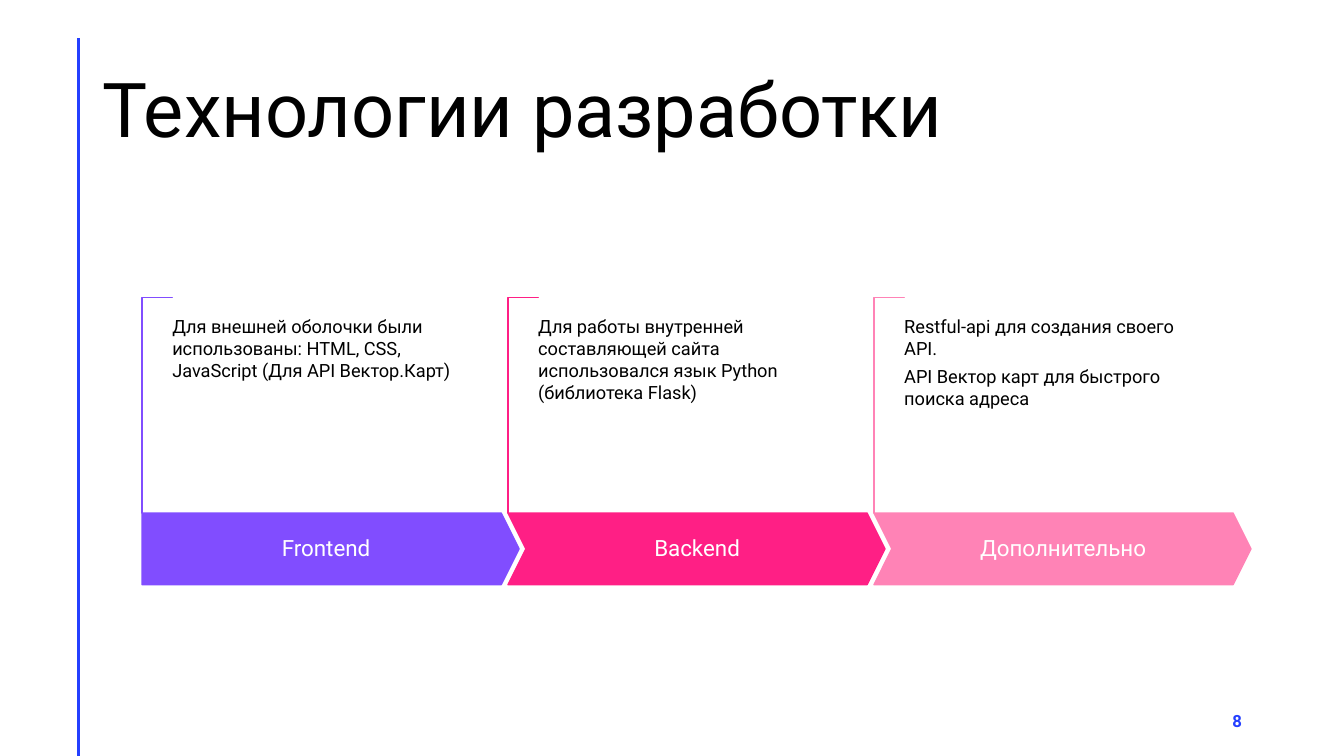
import pptx
import pptx.dml.color
import pptx.enum.shapes
import pptx.enum.text
import pptx.oxml.ns
import pptx.util
from lxml import etree

Pt = pptx.util.Pt
SHAPES = pptx.enum.shapes.MSO_SHAPE
ALIGN = pptx.enum.text.PP_ALIGN
ANCHOR = pptx.enum.text.MSO_ANCHOR


def color(value):
    return pptx.dml.color.RGBColor.from_string(value)


class SlideBuilder:
    font = "Roboto"
    accent = "243FFF"
    ink = "000000"
    paper = "FFFFFF"

    def __init__(self, slide):
        self.slide = slide

    def rule(self, x, top, bottom):
        connector = self.slide.shapes.add_connector(
            pptx.enum.shapes.MSO_CONNECTOR.STRAIGHT, Pt(x), Pt(top), Pt(x), Pt(bottom))
        connector.line.color.rgb = color(self.accent)
        connector.line.width = Pt(2)
        properties = connector._element.spPr
        etree.SubElement(properties, pptx.oxml.ns.qn("a:effectLst"))

    def shape(self, kind, left, top, width, height, fill, line, adjustments):
        shape = self.slide.shapes.add_shape(kind, Pt(left), Pt(top), Pt(width), Pt(height))
        shape.shadow.inherit = False
        shape.fill.solid()
        shape.fill.fore_color.rgb = color(fill)
        shape.line.color.rgb = color(line)
        shape.line.width = Pt(1)
        for index, value in enumerate(adjustments):
            shape.adjustments[index] = value
        return shape

    def bracket(self, left, top, width, height, line):
        shape = self.shape(SHAPES.CORNER, left + (width - height) / 2,
                           top + (height - width) / 2, height, width,
                           self.paper, line, (0.01, 0.01))
        shape.rotation = 90

    def text(self, left, top, width, height, paragraphs, size, ink=ink, bold=False,
             align=ALIGN.LEFT, anchor=ANCHOR.MIDDLE, insets=(7.2, 3.6),
             line_spacing=1.0, space_after=0):
        box = self.slide.shapes.add_textbox(Pt(left), Pt(top), Pt(width), Pt(height))
        frame = box.text_frame
        frame.word_wrap = True
        frame.vertical_anchor = anchor
        frame.margin_left = frame.margin_right = Pt(insets[0])
        frame.margin_top = frame.margin_bottom = Pt(insets[1])
        for index, content in enumerate(paragraphs):
            paragraph = frame.add_paragraph() if index else frame.paragraphs[0]
            paragraph.alignment = align
            paragraph.line_spacing = line_spacing
            paragraph.space_after = Pt(space_after)
            run = paragraph.add_run()
            run.text = content
            run.font.name = self.font
            run.font.size = Pt(size)
            run.font.bold = bold
            run.font.color.rgb = color(ink)

    def stage(self, left, kind, label, label_offset, label_width, fill, paragraphs):
        self.bracket(left, 212.4, 21.6, 154, fill)
        self.shape(kind, left, 366.5, 269.3, 51.1, fill, fill, (0.25,))
        self.text(left + label_offset, 366.5, label_width, 51.1, [label], 16, self.paper,
                  align=ALIGN.CENTER, insets=(7.9, 15.8), line_spacing=0.9, space_after=5.6)
        self.text(left + 21.6, 225.4, 218.9, 103, paragraphs, 13,
                  anchor=ANCHOR.TOP, insets=(0, 0), space_after=4.5)


def main():
    presentation = pptx.Presentation()
    presentation.slide_width = Pt(960)
    presentation.slide_height = Pt(540)
    builder = SlideBuilder(presentation.slides.add_slide(presentation.slide_layouts[6]))

    builder.rule(56.2, 27.5, 540)
    builder.text(66.2, 28.8, 828, 104.4, ["Технологии разработки"], 54, line_spacing=0.9)

    first = (SHAPES.PENTAGON, 0, 262.8)
    following = (SHAPES.CHEVRON, 13, 244.1)
    stages = [
        (first, "Frontend", "814DFF",
         ["Для внешней оболочки были использованы: HTML, CSS, "
          "JavaScript (Для API Вектор.Карт)"]),
        (following, "Backend", "FF1F85",
         ["Для работы внутренней составляющей сайта использовался язык Python "
          "(библиотека Flask)"]),
        (following, "Дополнительно", "FF83B6",
         ["Restful-api для создания своего API.",
          "API Вектор карт для быстрого поиска адреса"]),
    ]
    for index, ((kind, offset, width), label, fill, paragraphs) in enumerate(stages):
        builder.stage(101.5 + 261.4 * index, kind, label, offset, width, fill, paragraphs)

    builder.text(678.2, 500.4, 216, 28.8, ["8"], 12, builder.accent, True, ALIGN.RIGHT)
    presentation.save("out.pptx")


if __name__ == "__main__":
    main()
